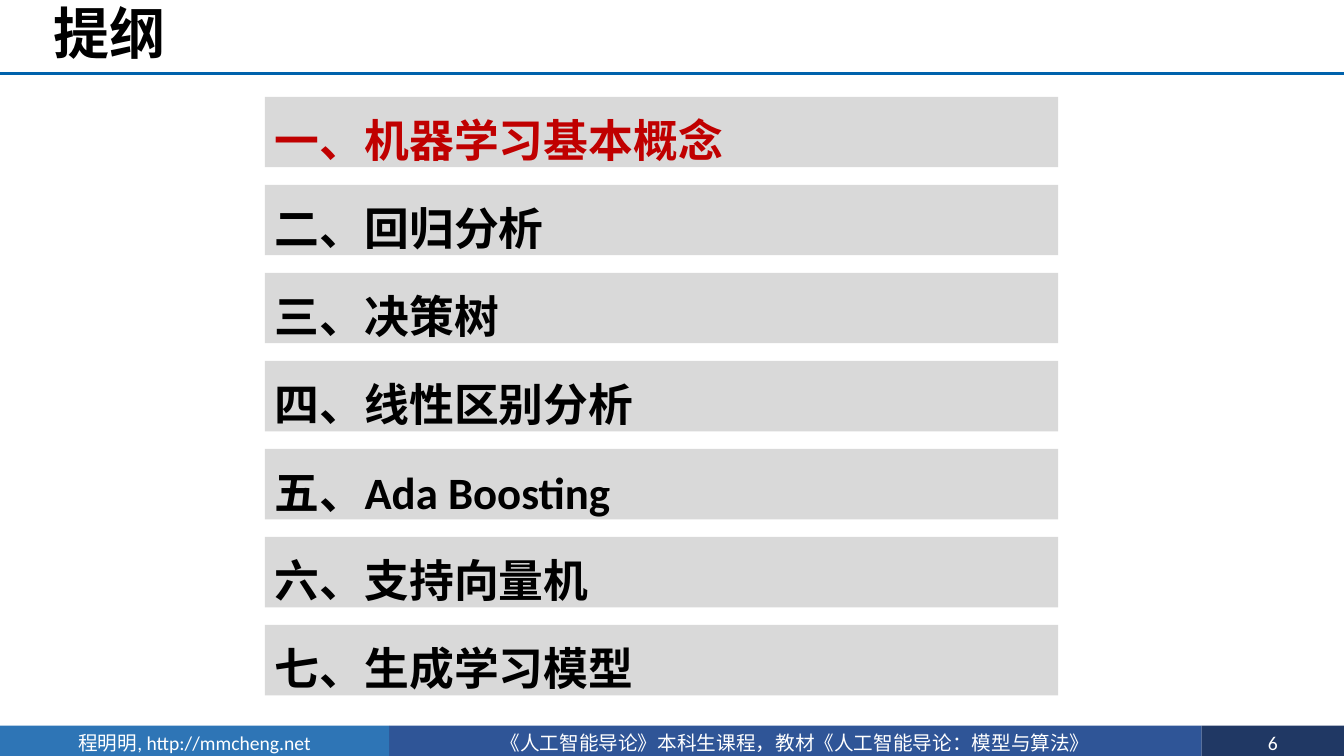
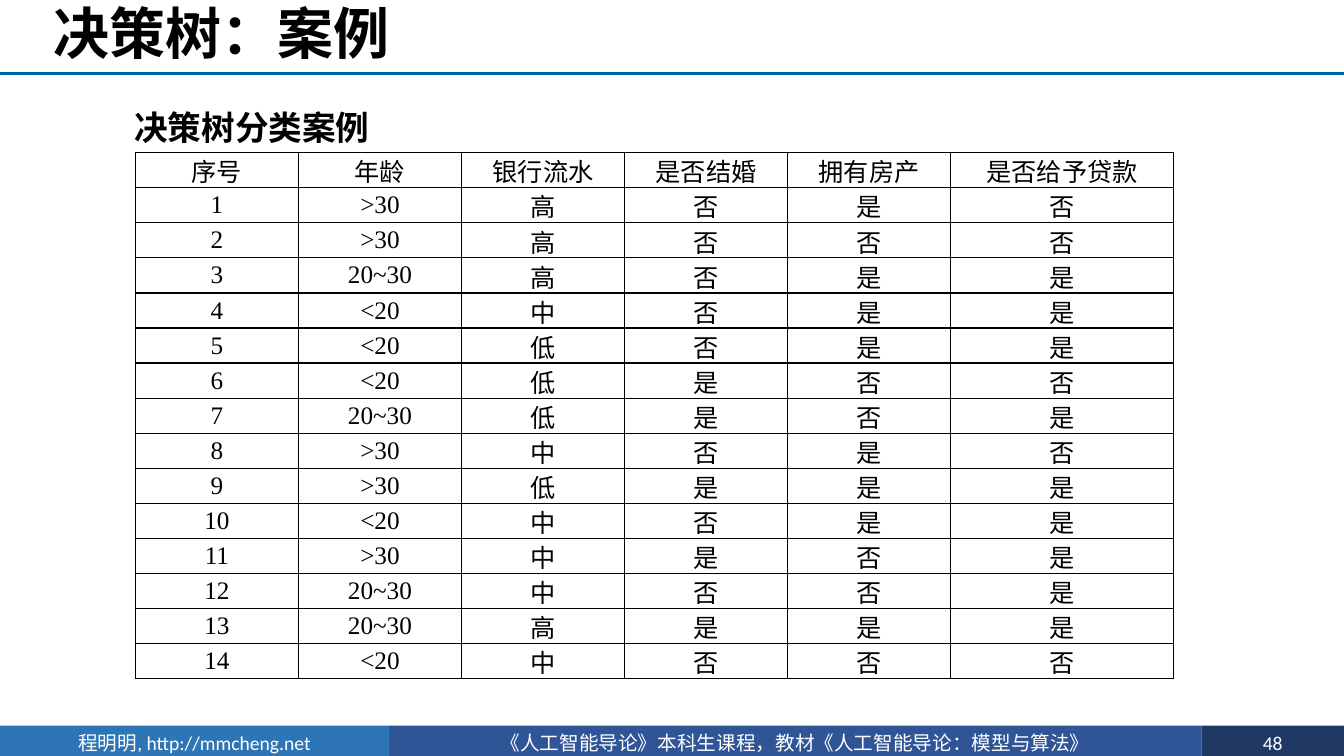
from lxml import etree
from pptx import Presentation
from pptx.dml.color import RGBColor as RGB
from pptx.enum.shapes import MSO_CONNECTOR as Connector, MSO_SHAPE as Shape
from pptx.enum.text import MSO_ANCHOR as Anchor, MSO_AUTO_SIZE as AutoSize, PP_ALIGN as Align
from pptx.oxml.ns import qn
from pptx.util import Pt

COLORS = {
    "text": "000000", "highlight": "C00000", "bar": "D9D9D9", "rule": "0062AC",
    "author": "2E75B6", "course": "2F5597", "number": "203864", "white": "FFFFFF",
}
WIDTH, HEIGHT = 960, 540


def write(frame, text, size, color="text", font="Calibri", bold=False,
          align=Align.LEFT, spacing=None, after=None):
    paragraph = frame.paragraphs[0]
    paragraph.alignment = align
    if spacing:
        paragraph.line_spacing = spacing
    if after:
        paragraph.space_after = Pt(after)
    run = paragraph.add_run()
    run.text = text
    run.font.size = Pt(size)
    run.font.name = font
    run.font.bold = bold
    run.font.color.rgb = RGB.from_string(COLORS[color])


def add_bar(slide, left, top, width, height, fill, text, size, **text_format):
    bar = slide.shapes.add_shape(Shape.RECTANGLE, Pt(left), Pt(top), Pt(width), Pt(height))
    bar.shadow.inherit = False
    bar.fill.solid()
    bar.fill.fore_color.rgb = RGB.from_string(COLORS[fill])
    bar.line.fill.background()
    bar.text_frame.word_wrap = True
    bar.text_frame.auto_size = AutoSize.SHAPE_TO_FIT_TEXT
    bar.text_frame.vertical_anchor = Anchor.TOP
    write(bar.text_frame, text, size, **text_format)


deck = Presentation()
deck.slide_width, deck.slide_height = Pt(WIDTH), Pt(HEIGHT)

slides = []
for title, number in [("提纲", "6"), ("决策树：案例", "48")]:
    slide = deck.slides.add_slide(deck.slide_layouts[6])
    slides.append(slide)
    for left, right, fill, text in [
        (278, 858.3, "course", "《人工智能导论》本科生课程，教材《人工智能导论：模型与算法》"),
        (0, 278, "author", "程明明, http://mmcheng.net"),
        (858.3, WIDTH, "number", number),
    ]:
        add_bar(slide, left, 518.4, right - left, 24.2, fill, text, 14,
                color="white", align=Align.CENTER)

    rule = slide.shapes.add_connector(Connector.STRAIGHT, Pt(0), Pt(52.5), Pt(WIDTH), Pt(52.5))
    rule.line.color.rgb = RGB.from_string(COLORS["rule"])
    rule.line.width = Pt(2)
    etree.SubElement(rule._element.spPr, qn("a:effectLst"))

    heading = slide.shapes.add_textbox(Pt(31), Pt(0), Pt(WIDTH - 31), Pt(52.5)).text_frame
    heading.word_wrap = True
    heading.vertical_anchor = Anchor.MIDDLE
    write(heading, title, 40, bold=True, spacing=0.9)

outline_slide, case_slide = slides

chapters = ["一、机器学习基本概念", "二、回归分析", "三、决策树", "四、线性区别分析",
            "五、Ada Boosting", "六、支持向量机", "七、生成学习模型"]
for index, chapter in enumerate(chapters):
    last = index == len(chapters) - 1
    add_bar(outline_slide, 189.3, 69.2 + index * 62.87, 566.6, 50.3, "bar", chapter, 32,
            color="text" if index else "highlight",
            font="Arial" if last else "Calibri", bold=True, spacing=1.2)

caption = case_slide.shapes.add_textbox(Pt(88.8), Pt(72.7), Pt(185), Pt(36)).text_frame
caption.word_wrap = False
caption.auto_size = AutoSize.SHAPE_TO_FIT_TEXT
write(caption, "决策树分类案例", 24, font="Arial", bold=True)

header = ["序号", "年龄", "银行流水", "是否结婚", "拥有房产", "是否给予贷款"]
samples = [
    (">30", "高否是否"), (">30", "高否否否"), ("20~30", "高否是是"), ("<20", "中否是是"),
    ("<20", "低否是是"), ("<20", "低是否否"), ("20~30", "低是否是"), (">30", "中否是否"),
    (">30", "低是是是"), ("<20", "中否是是"), (">30", "中是否是"), ("20~30", "中否否是"),
    ("20~30", "高是是是"), ("<20", "中否否否"),
]
records = [header] + [[str(order), age, *answers]
                      for order, (age, answers) in enumerate(samples, 1)]
column_widths = [116.5] * 5 + [159]
row_height = 25.06

table = case_slide.shapes.add_table(
    len(records), len(header), Pt(96.7), Pt(109),
    Pt(sum(column_widths)), Pt(row_height * len(records))).table
table.first_row = False
table.horz_banding = False
for column, width in zip(table.columns, column_widths):
    column.width = Pt(width)
for row, record in zip(table.rows, records):
    row.height = Pt(row_height)
    for cell, text in zip(row.cells, record):
        cell.margin_left = cell.margin_right = Pt(5)
        cell.margin_top = cell.margin_bottom = Pt(0)
        cell.vertical_anchor = Anchor.MIDDLE
        properties = cell._tc.get_or_add_tcPr()
        for side in ("a:lnL", "a:lnR", "a:lnT", "a:lnB"):
            border = etree.SubElement(properties, qn(side), w=str(Pt(1)))
            border_fill = etree.SubElement(border, qn("a:solidFill"))
            etree.SubElement(border_fill, qn("a:srgbClr"), val=COLORS["text"])
        cell.fill.background()
        write(cell.text_frame, text, 18, font="Times New Roman", align=Align.CENTER, after=3)

deck.save("out.pptx")
